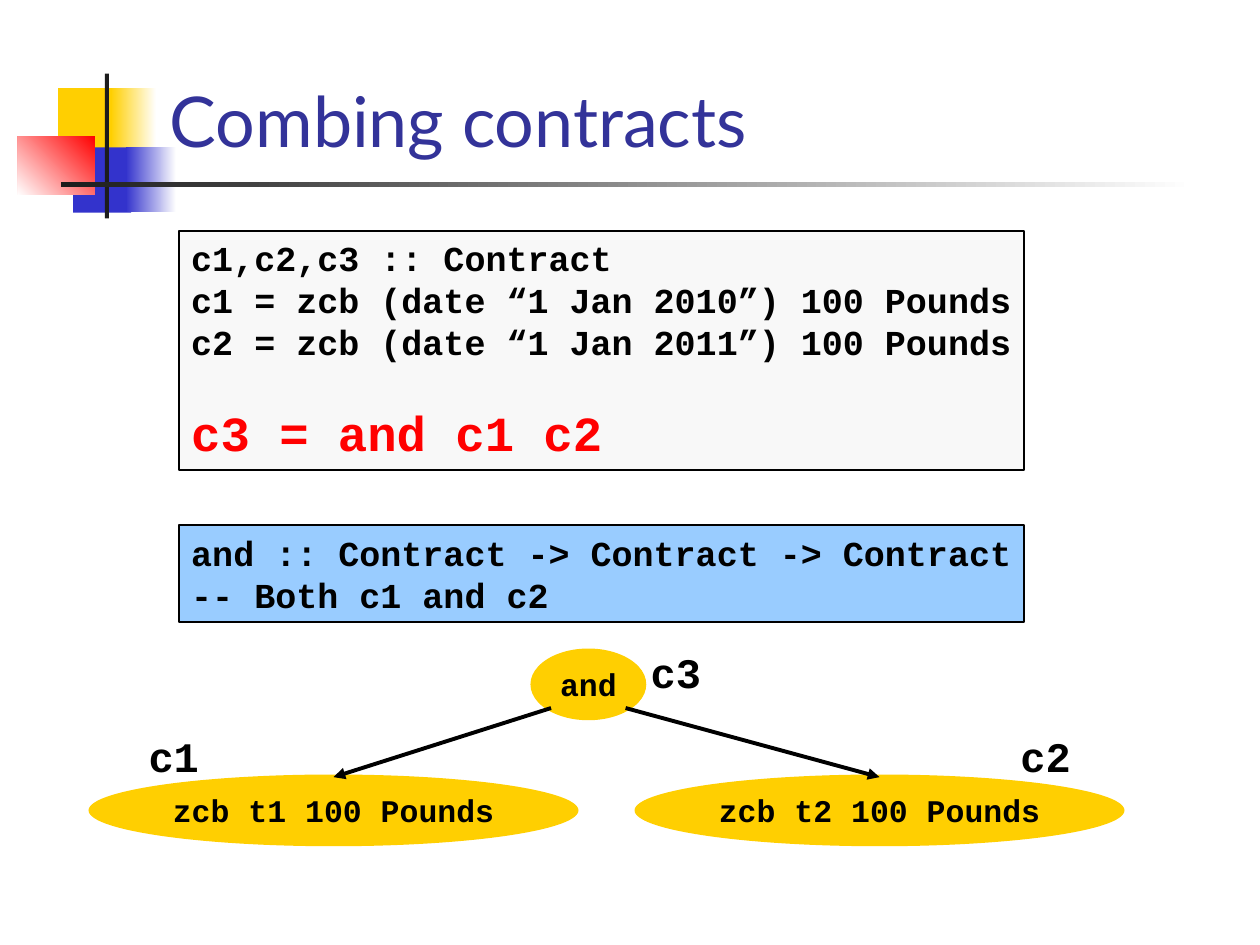
from lxml.etree import SubElement
from pptx import Presentation
from pptx.dml.color import RGBColor
from pptx.enum.shapes import MSO_CONNECTOR, MSO_SHAPE
from pptx.enum.text import MSO_ANCHOR, PP_ALIGN
from pptx.oxml.ns import qn
from pptx.util import Pt

BLACK, WHITE, DARK = "000000", "FFFFFF", "1C1C1C"
YELLOW, BLUE, RED = "FFCF01", "3333CC", "FF0000"
MONO = "Courier New"

# Decoration: left, top, width, height, colours, counter-clockwise angle
DECORATION = [
    (33.2, 50.4, 34.6, 37.4, [YELLOW], 0),
    (63.4, 50.4, 25.9, 37.4, [WHITE, YELLOW], 180),
    (41.8, 84.2, 33.1, 37.4, [BLUE], 0),
    (72, 83.8, 28.8, 37.4, [WHITE, BLUE], 180),
    (10, 77.8, 44.3, 33.6, [RED, WHITE], 225),
    (59.9, 42, 2.4, 82.8, [DARK], 0),
    (34.6, 104.2, 648, 2.4, [WHITE, DARK], 180),
]

TITLE = "Combing contracts"

CODE_LEFT, CODE_WIDTH = 102.2, 483.1
# Top, height, fill, lines as (text, size, colour, space before)
CODE_BOXES = [
    (131.8, 137, "F8F8F8", [
        ("c1,c2,c3 :: Contract", 20, BLACK, 0),
        ("c1 = zcb (date “1 Jan 2010”) 100 Pounds", 20, BLACK, 0),
        ("c2 = zcb (date “1 Jan 2011”) 100 Pounds", 20, BLACK, 0),
        ("c3 = and c1 c2", 28, RED, 22.7),
    ]),
    (300.2, 55.4, "99CCFF", [
        ("and :: Contract -> Contract -> Contract", 20, BLACK, 0),
        ("-- Both c1 and c2", 20, BLACK, 0),
    ]),
]

NODE_HEIGHT = 41
# Text, left, top, width
ROOT = ("and", 303.1, 370.6, 66.2)
LEAVES = [
    ("zcb t1 100 Pounds", 50.6, 442.6, 280),
    ("zcb t2 100 Pounds", 362.6, 442.6, 280),
]
NODE_LABELS = [("c1", 77.8, 414), ("c2", 576, 414), ("c3", 364.7, 366)]


def color(value):
    return RGBColor.from_string(value)


def write(shape, lines, font_name, bold=True, align=PP_ALIGN.LEFT,
          anchor=MSO_ANCHOR.TOP, wrap=False):
    frame = shape.text_frame
    frame_format = {"word_wrap": wrap, "vertical_anchor": anchor,
                    "margin_left": Pt(7.2), "margin_right": Pt(7.2),
                    "margin_top": Pt(3.6), "margin_bottom": Pt(3.6)}
    for key, value in frame_format.items():
        setattr(frame, key, value)
    for index, (text, size, text_color, space) in enumerate(lines):
        paragraph = frame.add_paragraph() if index else frame.paragraphs[0]
        paragraph.alignment = align
        if space:
            paragraph.space_before = Pt(space)
        run = paragraph.add_run()
        run.text = text
        for key, value in {"name": font_name, "size": Pt(size), "bold": bold}.items():
            setattr(run.font, key, value)
        run.font.color.rgb = color(text_color)


def add_filled(slide, preset, box, colors, angle=0, outline=None):
    shape = slide.shapes.add_shape(preset, *map(Pt, box))
    shape.shadow.inherit = False
    if len(colors) == 1:
        shape.fill.solid()
        shape.fill.fore_color.rgb = color(colors[0])
    else:
        shape.fill.gradient()
        shape.fill.gradient_angle = angle
        for stop, stop_color in zip(shape.fill.gradient_stops, colors):
            stop.color.rgb = color(stop_color)
    if outline:
        shape.line.color.rgb = color(outline)
        shape.line.width = Pt(1)
    else:
        shape.line.fill.background()
    return shape


def add_node(slide, text, left, top, width):
    node = add_filled(slide, MSO_SHAPE.OVAL, (left, top, width, NODE_HEIGHT), [YELLOW])
    write(node, [(text, 18, BLACK, 0)], MONO,
          align=PP_ALIGN.CENTER, anchor=MSO_ANCHOR.MIDDLE)


def add_arrow(slide, start, end):
    arrow = slide.shapes.add_connector(MSO_CONNECTOR.STRAIGHT, *map(Pt, start + end))
    arrow.line.color.rgb = color(BLACK)
    arrow.line.width = Pt(2.25)
    SubElement(arrow.line._get_or_add_ln(), qn("a:tailEnd"), type="triangle")
    SubElement(arrow._element.spPr, qn("a:effectLst"))


def main():
    deck = Presentation()
    deck.slide_width, deck.slide_height = Pt(720), Pt(540)
    slide = deck.slides.add_slide(deck.slide_layouts[6])

    for *box, colors, angle in DECORATION:
        add_filled(slide, MSO_SHAPE.RECTANGLE, box, colors, angle)

    title = slide.shapes.add_textbox(Pt(90), Pt(5.8), Pt(613.4), Pt(90))
    write(title, [(TITLE, 40, "333399", 0)], "Lato", bold=False,
          anchor=MSO_ANCHOR.BOTTOM, wrap=True)

    for top, height, fill, lines in CODE_BOXES:
        code = add_filled(slide, MSO_SHAPE.RECTANGLE,
                          (CODE_LEFT, top, CODE_WIDTH, height), [fill], outline=BLACK)
        write(code, lines, MONO)

    for node in [ROOT, *LEAVES]:
        add_node(slide, *node)

    root_center = ROOT[1] + ROOT[3] / 2
    for side, (_, left, top, width) in zip((-1, 1), LEAVES):
        start = (root_center + side * 21.3, ROOT[2] + 34)
        add_arrow(slide, start, (left + width / 2, top + 1.5))

    for text, left, top in NODE_LABELS:
        label = slide.shapes.add_textbox(Pt(left), Pt(top), Pt(43.2), Pt(36))
        write(label, [(text, 24, BLACK, 0)], MONO)

    deck.save("out.pptx")


if __name__ == "__main__":
    main()
